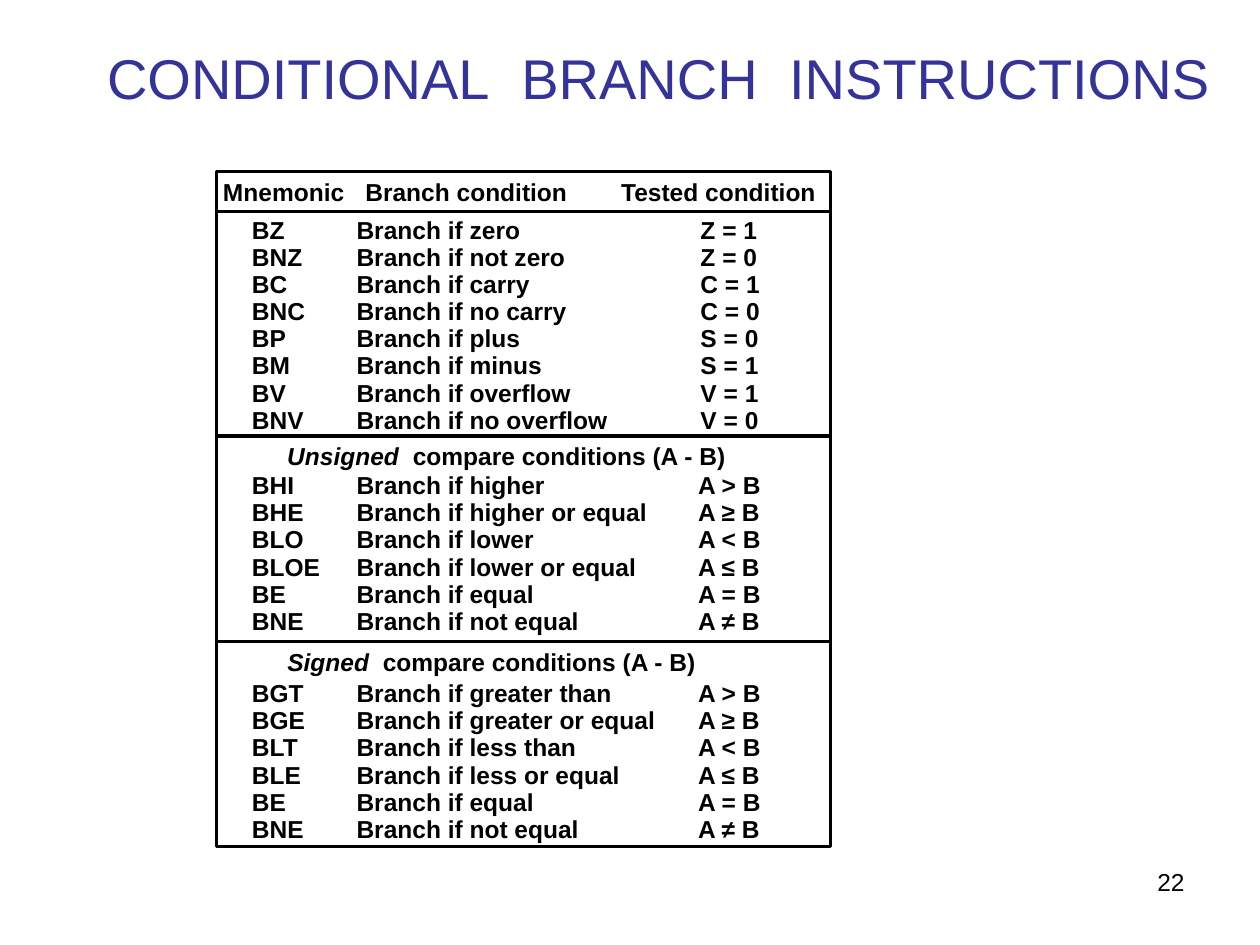
"""Build a slide that lists conditional branch instructions."""
from dataclasses import dataclass

from lxml.etree import SubElement
from pptx import Presentation
from pptx.dml.color import RGBColor
from pptx.enum.shapes import MSO_CONNECTOR, MSO_SHAPE
from pptx.enum.text import MSO_ANCHOR, PP_ALIGN
from pptx.oxml.ns import qn
from pptx.util import Inches, Pt

COLORS = {"ink": "000000", "title": "333399"}
FONT = "Arial"
SPACE_WIDTH = 0.278
FRAME_LEFT, FRAME_RIGHT = 1.72, 6.6
RULE_WIDTH = 2


@dataclass
class Span:
    text: str
    italic: bool = False
    tracking: float = 0


@dataclass
class Section:
    top: float
    height: float
    spacing: float
    condition_tab: float
    rows: list[tuple[str, str, str]]


@dataclass
class Heading:
    kind: str
    top: float
    width: float


SECTIONS = [
    Section(1.7, 1.78, 0.92, 3.56, [
        ("BZ", "zero", "Z = 1"),
        ("BNZ", "not zero", "Z = 0"),
        ("BC", "carry", "C = 1"),
        ("BNC", "no carry", "C = 0"),
        ("BP", "plus", "S = 0"),
        ("BM", "minus", "S = 1"),
        ("BV", "overflow", "V = 1"),
        ("BNV", "no overflow", "V = 0"),
    ]),
    Section(3.72, 1.36, 0.93, 3.54, [
        ("BHI", "higher", "A > B"),
        ("BHE", "higher or equal", "A ≥ B"),
        ("BLO", "lower", "A < B"),
        ("BLOE", "lower or equal", "A ≤ B"),
        ("BE", "equal", "A = B"),
        ("BNE", "not equal", "A ≠ B"),
    ]),
    Section(5.37, 1.36, 0.93, 3.54, [
        ("BGT", "greater than", "A > B"),
        ("BGE", "greater or equal", "A ≥ B"),
        ("BLT", "less than", "A < B"),
        ("BLE", "less or equal", "A ≤ B"),
        ("BE", "equal", "A = B"),
        ("BNE", "not equal", "A ≠ B"),
    ]),
]
HEADINGS = [Heading("Unsigned", 3.5, 3.63), Heading("Signed", 5.13, 3.39)]
RULES = [1.68, 3.46, 5.09]


def wide_space(size: float) -> Span:
    """Return one space tracked out to the width of two."""
    return Span(" ", tracking=size * SPACE_WIDTH)


def add_text(page, lines: list[list[Span]], left: float, top: float,
             width: float, height: float, *, size: float = 14,
             color: str = "ink", bold: bool = True, align=PP_ALIGN.LEFT,
             anchor=MSO_ANCHOR.TOP, spacing: float = 1,
             tabs: tuple[float, ...] = (), wrap: bool = True,
             insets: tuple[float, float] = (0.07, 0.03)) -> None:
    """Add a text box with one paragraph for each line of spans."""
    box = page.shapes.add_textbox(Inches(left), Inches(top),
                                  Inches(width), Inches(height))
    frame = box.text_frame
    frame.word_wrap = wrap
    frame.vertical_anchor = anchor
    frame.margin_left = frame.margin_right = Inches(insets[0])
    frame.margin_top = frame.margin_bottom = Inches(insets[1])
    for index, spans in enumerate(lines):
        para = frame.add_paragraph() if index else frame.paragraphs[0]
        if tabs:
            stops = SubElement(para._p.get_or_add_pPr(), qn("a:tabLst"))
            for stop in tabs:
                SubElement(stops, qn("a:tab"), pos=str(Inches(stop)), algn="l")
        para.alignment = align
        para.line_spacing = spacing
        for span in spans:
            run = para.add_run()
            run.text = span.text
            run.font.name = FONT
            run.font.size = Pt(size)
            run.font.bold = bold
            run.font.italic = span.italic
            run.font.color.rgb = RGBColor.from_string(COLORS[color])
            if span.tracking:
                run.font._element.set("spc", str(round(span.tracking * 100)))


def add_section(page, section: Section) -> None:
    """Add the instruction rows of one section."""
    lines = [[Span(f"{mnemonic}\tBranch if {branch}\t{tested}")]
             for mnemonic, branch, tested in section.rows]
    add_text(page, lines, 1.93, section.top, 7.04, section.height,
             spacing=section.spacing, tabs=(0.83, section.condition_tab))


def add_heading(page, heading: Heading) -> None:
    """Add the heading of a compare section."""
    spans = [Span(heading.kind, italic=True), wide_space(14),
             Span("compare conditions (A - B)")]
    add_text(page, [spans], 2.21, heading.top, heading.width, 0.27,
             spacing=0.9, wrap=False)


def add_frame(page) -> None:
    """Add the outline around all sections."""
    frame = page.shapes.add_shape(MSO_SHAPE.RECTANGLE, Inches(FRAME_LEFT),
                                  Inches(1.36), Inches(4.87), Inches(5.36))
    frame.shadow.inherit = False
    frame.fill.background()
    frame.line.color.rgb = RGBColor.from_string(COLORS["ink"])
    frame.line.width = Pt(RULE_WIDTH)


def add_rule(page, top: float) -> None:
    """Add a horizontal rule across the frame."""
    rule = page.shapes.add_connector(MSO_CONNECTOR.STRAIGHT,
                                     Inches(FRAME_LEFT), Inches(top),
                                     Inches(FRAME_RIGHT), Inches(top))
    rule.line.color.rgb = RGBColor.from_string(COLORS["ink"])
    rule.line.width = Pt(RULE_WIDTH)
    SubElement(rule._element.spPr, qn("a:effectLst"))


def main() -> None:
    """Build and save the deck."""
    deck = Presentation()
    deck.slide_width, deck.slide_height = Inches(10), Inches(7.5)
    page = deck.slides.add_slide(deck.slide_layouts[6])
    add_text(page, [[Span("22")]], 7.17, 6.83, 2.33, 0.52, bold=False,
             align=PP_ALIGN.RIGHT, insets=(0.1, 0.05))
    title = [Span("CONDITIONAL"), wide_space(32), Span("BRANCH"),
             wide_space(32), Span("INSTRUCTIONS")]
    add_text(page, [title], 0.42, 0.17, 9.61, 0.89, size=32, color="title",
             bold=False, align=PP_ALIGN.CENTER, anchor=MSO_ANCHOR.MIDDLE)
    for section in SECTIONS:
        add_section(page, section)
    for heading in HEADINGS:
        add_heading(page, heading)
    add_text(page, [[Span("Mnemonic\tBranch condition\tTested condition")]],
             1.7, 1.4, 4.86, 0.27, spacing=0.9, tabs=(1.13, 3.16), wrap=False)
    add_frame(page)
    for top in RULES:
        add_rule(page, top)
    deck.save("out.pptx")


if __name__ == "__main__":
    main()
